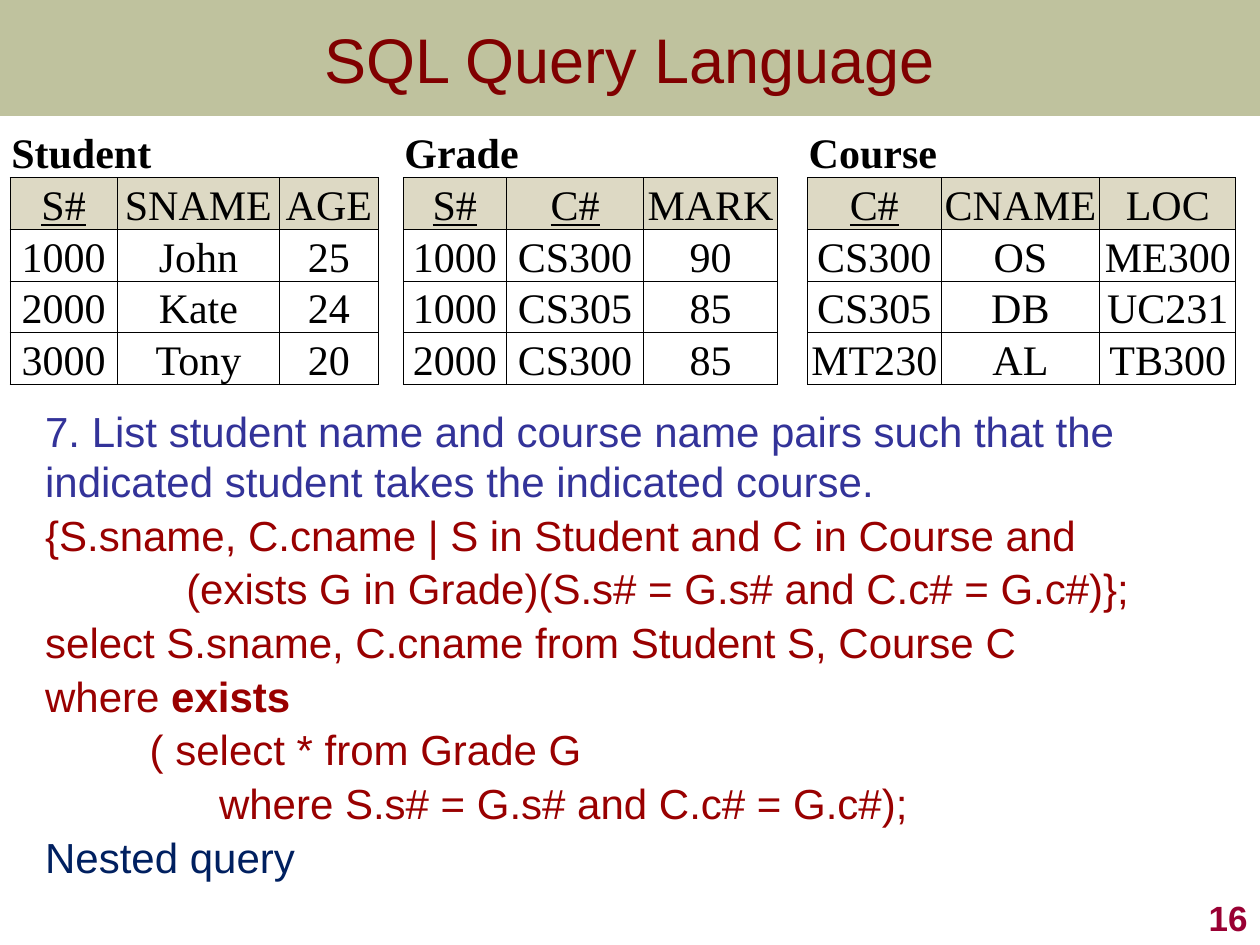
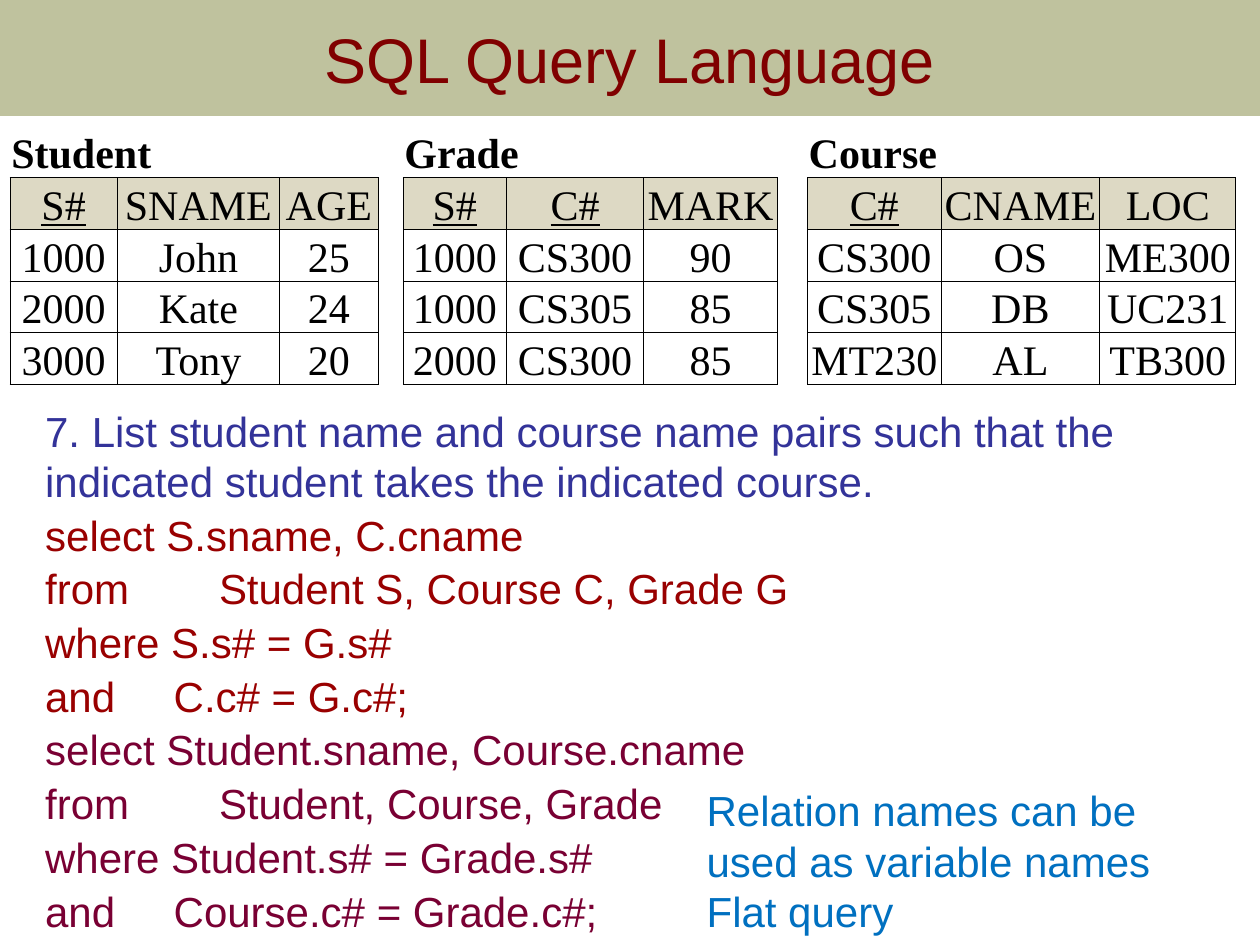
import pptx
import pptx.dml.color
import pptx.enum.shapes
import pptx.enum.text
import pptx.oxml
import pptx.oxml.ns
import pptx.util
from pptx.util import Inches

ALIGN = pptx.enum.text.PP_ALIGN
ANCHOR = pptx.enum.text.MSO_ANCHOR
NAVY, RED, WINE, BLUE = "333399", "990000", "790033", "0070C0"
BLACK, WHITE, SAND = "000000", "FFFFFF", "DDD9C4"
PLAIN = "{2D5ABB26-0587-4C30-8999-92F81FD0307C}"

TABLES = [
    ("Student", 1, [("S#", "SNAME", "AGE"), ("1000", "John", "25"),
                    ("2000", "Kate", "24"), ("3000", "Tony", "20")]),
    ("Grade", 2, [("S#", "C#", "MARK"), ("1000", "CS300", "90"),
                  ("1000", "CS305", "85"), ("2000", "CS300", "85")]),
    ("Course", 1, [("C#", "CNAME", "LOC"), ("CS300", "OS", "ME300"),
                   ("CS305", "DB", "UC231"), ("MT230", "AL", "TB300")]),
]
WIDTHS = [0.85, 1.29, 0.78, 0.2, 0.82, 1.09, 1.06, 0.24, 1.06, 1.26, 1.08]
ROW = 0.38

TASK = ("7. List student name and course name pairs such that the "
        "indicated student takes the indicated course.")
FROM, AND = 1.38, 1.02
NESTED = [
    ("{S.sname, C.cname | S in Student and C in Course and", RED, 0, 0),
    ("(exists G in Grade)(S.s# = G.s# and C.c# = G.c#)};", RED, 1.12, 0),
    ("select S.sname, C.cname from Student S, Course C", RED, 0, 0),
    ("where *exists", RED, 0, 0),
    ("( select * from Grade G", RED, 0.83, 0),
    ("where S.s# = G.s# and C.c# = G.c#);", RED, FROM, 0),
    ("Nested query", "002060", 0, 0),
]
FLAT = [
    ("select S.sname, C.cname", RED, 0, 0),
    ("from\tStudent S, Course C, Grade G", RED, 0, FROM),
    ("where S.s# = G.s#", RED, 0, 0),
    ("and\tC.c# = G.c#;", RED, 0, AND),
    ("select Student.sname, Course.cname", WINE, 0, 0),
    ("from\tStudent, Course, Grade", WINE, 0, FROM),
    ("where Student.s# = Grade.s#", WINE, 0, 0),
    ("and\tCourse.c# = Grade.c#;", WINE, 0, AND),
]


def paint(target, shade):
    target.rgb = pptx.dml.color.RGBColor.from_string(shade)


def node(parent, tag, **attrs):
    child = pptx.oxml.ns.qn(tag)
    item = parent.makeelement(child, attrs)
    parent.append(item)
    return item


class Deck:
    sans, serif = "Arial", "Times New Roman"

    def __init__(self):
        self.prs = pptx.Presentation()
        self.prs.slide_width = Inches(10)
        self.prs.slide_height = Inches(7.5)

    def page(self):
        self.slide = self.prs.slides.add_slide(self.prs.slide_layouts[6])

    def style(self, para, shade, size=24, face=sans, bold=False, line=False):
        for run in para.runs:
            run.font.name = face
            run.font.size = pptx.util.Pt(size)
            run.font.bold = bold
            run.font.underline = line
            paint(run.font.color, shade)

    def box(self, left, top, width, height, anchor=ANCHOR.TOP):
        shape = self.slide.shapes.add_textbox(
            Inches(left), Inches(top), Inches(width), Inches(height))
        frame = shape.text_frame
        frame.word_wrap = True
        frame.vertical_anchor = anchor
        return frame

    def title(self, text):
        band = self.slide.shapes.add_shape(
            pptx.enum.shapes.MSO_SHAPE.RECTANGLE, 0, 0, Inches(10), Inches(0.92))
        band.shadow.inherit = False
        band.line.fill.background()
        band.fill.solid()
        paint(band.fill.fore_color, "6E7524")
        tint = band.fill._xPr.find(".//" + pptx.oxml.ns.qn("a:srgbClr"))
        node(tint, "a:alpha", val="44000")
        frame = band.text_frame
        frame.text = text
        frame.vertical_anchor = ANCHOR.MIDDLE
        frame.paragraphs[0].alignment = ALIGN.CENTER
        self.style(frame.paragraphs[0], "800000", 36)

    def body(self, task, lines):
        frame = self.box(0.26, 3.17, 9.49, 4.27)
        frame.margin_right = 0
        frame.text = task
        self.style(frame.paragraphs[0], NAVY)
        for text, shade, indent, tab in lines:
            self.code(frame.add_paragraph(), text, shade, indent, tab)

    def code(self, para, text, shade, indent, tab):
        para.line_spacing = 0.9
        para.space_before = pptx.util.Pt(4.8)
        props = para._p.get_or_add_pPr()
        props.set("marL", str(Inches(indent)))
        if tab:
            stops = node(props, "a:tabLst")
            node(stops, "a:tab", pos=str(Inches(tab)), algn="l")
        plain, mark, strong = text.partition(" *exists")
        if mark:
            para.text = plain + " "
            para.add_run().text = "exists"
        else:
            para.text = text
        self.style(para, shade)
        if mark:
            para.runs[1].font.bold = True

    def note(self, lines):
        frame = self.box(5.51, 6.18, 4.21, 1.27)
        frame.text = "\n".join(lines)
        for para in frame.paragraphs:
            self.style(para, BLUE)

    def number(self, text):
        frame = self.box(7.92, 7, 2.08, 0.5, ANCHOR.BOTTOM)
        frame.text = text
        frame.paragraphs[0].alignment = ALIGN.RIGHT
        self.style(frame.paragraphs[0], "990033", 20, bold=True)

    def cell(self, cell, sides, fill=WHITE):
        cell.margin_left = cell.margin_right = cell.margin_top = Inches(0.01)
        cell.margin_bottom = 0
        cell.vertical_anchor = ANCHOR.BOTTOM
        props = cell._tc.get_or_add_tcPr()
        for side in sides:
            edge = node(props, "a:ln" + side, w=str(pptx.util.Pt(0.5)))
            ink = node(edge, "a:solidFill")
            node(ink, "a:srgbClr", val=BLACK)
        cell.fill.solid()
        paint(cell.fill.fore_color, fill)

    def grid(self):
        rows = len(TABLES[0][2]) + 1
        table = self.slide.shapes.add_table(
            rows, len(WIDTHS), Inches(0.08), Inches(1),
            Inches(sum(WIDTHS)), Inches(ROW * rows)).table
        table.first_row = table.horz_banding = False
        table._tbl.tblPr.find(pptx.oxml.ns.qn("a:tableStyleId")).text = PLAIN
        for col, width in zip(table.columns, WIDTHS):
            col.width = Inches(width)
        for row in table.rows:
            row.height = Inches(ROW)
        for r in range(rows):
            for gap in (3, 7):
                self.cell(table.cell(r, gap), "LR" if r else "")
        for k, (name, keys, data) in enumerate(TABLES):
            left = 4 * k
            for c in range(left, left + 3):
                self.cell(table.cell(0, c), "B")
            head = table.cell(0, left)
            head.merge(table.cell(0, left + 2))
            head.text_frame.text = name
            self.style(head.text_frame.paragraphs[0], BLACK,
                       face=self.serif, bold=True)
            for r, record in enumerate(data):
                for c, value in enumerate(record):
                    cell = table.cell(r + 1, left + c)
                    self.cell(cell, "LRTB", WHITE if r else SAND)
                    cell.text_frame.text = value
                    para = cell.text_frame.paragraphs[0]
                    para.alignment = ALIGN.CENTER
                    self.style(para, BLACK, face=self.serif,
                               line=r == 0 and c < keys)


def main():
    deck = Deck()
    for lines in (NESTED, FLAT):
        deck.page()
        deck.body(TASK, lines)
        deck.title("SQL Query Language")
        if lines is NESTED:
            deck.number("16")
        else:
            deck.note(["Relation names can be used as variable names",
                       "Flat query"])
        deck.grid()
    deck.prs.save("out.pptx")


if __name__ == "__main__":
    main()
